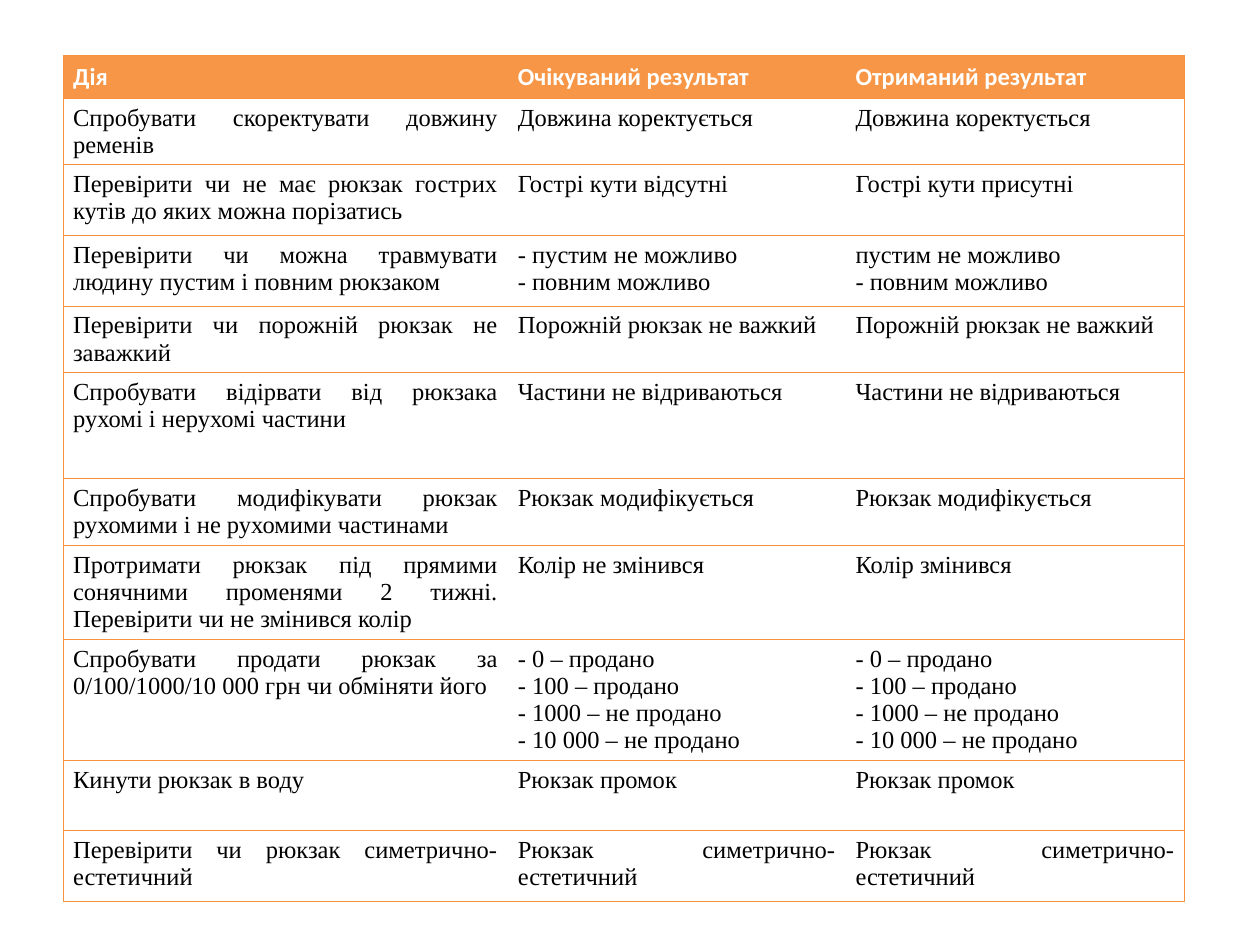
from lxml.etree import SubElement
from pptx import Presentation
from pptx.dml.color import RGBColor
from pptx.enum.text import PP_ALIGN
from pptx.oxml.ns import qn
from pptx.util import Inches, Pt

ORANGE = RGBColor(0xF7, 0x96, 0x46)
EDGE = RGBColor(0xF6, 0x92, 0x40)
WHITE = RGBColor(0xFF, 0xFF, 0xFF)
BLACK = RGBColor(0, 0, 0)

# Content: row height, action, expected result, actual result
PRICES = "- 0 – продано\n- 100 – продано\n- 1000 – не продано\n- 10 000 – не продано"
ROWS = [
    (0.28, "Дія", "Очікуваний результат", "Отриманий результат"),
    (0.47, "Спробувати скоректувати довжину ременів",
     "Довжина коректується", "Довжина коректується"),
    (0.56, "Перевірити чи не має рюкзак гострих кутів до яких можна порізатись",
     "Гострі кути відсутні", "Гострі кути присутні"),
    (0.56, "Перевірити чи можна травмувати людину пустим і повним рюкзаком",
     "- пустим не можливо\n- повним можливо", "пустим не можливо\n- повним можливо"),
    (0.47, "Перевірити чи порожній рюкзак не заважкий",
     "Порожній рюкзак не важкий", "Порожній рюкзак не важкий"),
    (0.84, "Спробувати відірвати від рюкзака рухомі і нерухомі частини",
     "Частини не відриваються", "Частини не відриваються"),
    (0.47, "Спробувати модифікувати рюкзак рухомими і не рухомими частинами",
     "Рюкзак модифікується", "Рюкзак модифікується"),
    (0.7, "Протримати рюкзак під прямими сонячними променями 2 тижні. "
     "Перевірити чи не змінився колір", "Колір не змінився", "Колір змінився"),
    (0.93, "Спробувати продати рюкзак за 0/100/1000/10 000 грн чи обміняти його",
     PRICES, PRICES),
    (0.56, "Кинути рюкзак в воду", "Рюкзак промок", "Рюкзак промок"),
    (0.56, "Перевірити чи рюкзак симетрично-естетичний",
     "Рюкзак симетрично-естетичний", "Рюкзак симетрично-естетичний"),
]
COLS = [3.53, 2.68, 2.69]
LEFT, TOP = 0.5, 0.44


def draw_edges(cell, col):
    """Rule every row, and only the outer sides of the table."""
    shown = {"lnL": col == 0, "lnR": col == len(COLS) - 1, "lnT": True, "lnB": True}
    props = cell._tc.get_or_add_tcPr()
    for spot, (tag, seen) in enumerate(shown.items()):
        line = SubElement(props, qn("a:" + tag), w=str(Pt(0.34)))
        if seen:
            fill = SubElement(line, qn("a:solidFill"))
            SubElement(fill, qn("a:srgbClr"), val=str(EDGE))
        else:
            SubElement(line, qn("a:noFill"))
        props.insert(spot, line)


def fill_cell(cell, text, head):
    cell.margin_left = cell.margin_right = Inches(0.08)
    cell.margin_top = cell.margin_bottom = Inches(0.05)
    if head:
        cell.fill.solid()
        cell.fill.fore_color.rgb = ORANGE
    else:
        cell.fill.background()
    cell.text_frame.text = text
    for para in cell.text_frame.paragraphs:
        para.alignment = PP_ALIGN.JUSTIFY
        for run in para.runs:
            font = run.font
            font.size, font.bold = Pt(14), head
            font.name = "Calibri" if head else "Times New Roman"
            font.color.rgb = WHITE if head else BLACK


# Slide
deck = Presentation()
deck.slide_width, deck.slide_height = Inches(10), Inches(7.5)
slide = deck.slides.add_slide(deck.slide_layouts[6])

# Test table
high = sum(row[0] for row in ROWS)
frame = slide.shapes.add_table(len(ROWS), len(COLS), Inches(LEFT), Inches(TOP),
                               Inches(sum(COLS)), Inches(high))
table = frame.table
table.first_row = table.horz_banding = False
for col, width in enumerate(COLS):
    table.columns[col].width = Inches(width)
for row, (height, *texts) in enumerate(ROWS):
    table.rows[row].height = Inches(height)
    for col, text in enumerate(texts):
        cell = table.cell(row, col)
        fill_cell(cell, text, row == 0)
        draw_edges(cell, col)

deck.save("out.pptx")
